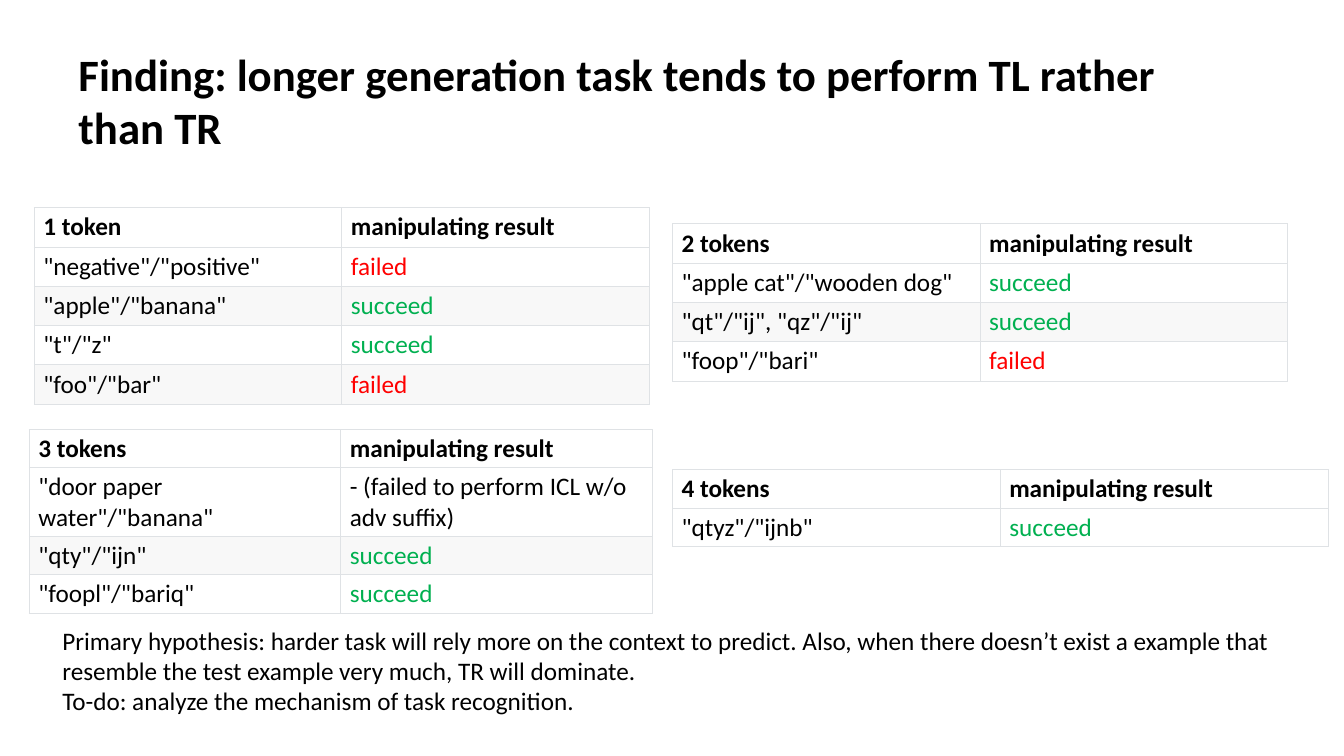
from lxml.etree import SubElement
from pptx import Presentation
from pptx.dml.color import RGBColor
from pptx.enum.text import MSO_ANCHOR
from pptx.oxml.ns import qn
from pptx.util import Inches, Pt

BLACK = RGBColor(0x00, 0x00, 0x00)
RED = RGBColor(0xFF, 0x00, 0x00)
GREEN = RGBColor(0x00, 0xB0, 0x50)
WHITE = RGBColor(0xFF, 0xFF, 0xFF)
BAND = RGBColor(0xF8, 0xF8, 0xF8)
RULE = RGBColor(0xDF, 0xE2, 0xE5)

COLORS = {"failed": RED, "succeed": GREEN}
CELL = {
    "margin_left": Inches(0.09), "margin_right": Inches(0.09),
    "margin_top": Inches(0.04), "margin_bottom": Inches(0.04),
    "vertical_anchor": MSO_ANCHOR.MIDDLE,
}


def write(frame, text, size=18, bold=False, color=BLACK):
    """Fill a text frame, one paragraph per line of text."""
    frame.text = text
    frame.word_wrap = True
    look = {"name": "Calibri", "size": Pt(size), "bold": bold}
    for para in frame.paragraphs:
        font = para.runs[0].font
        for key, value in look.items():
            setattr(font, key, value)
        font.color.rgb = color


def border(cell):
    props = cell._tc.get_or_add_tcPr()
    for side in ("a:lnL", "a:lnR", "a:lnT", "a:lnB"):
        line = SubElement(props, qn(side), w=str(Pt(0.5)))
        fill = SubElement(line, qn("a:solidFill"))
        SubElement(fill, qn("a:srgbClr"), val=str(RULE))


prs = Presentation()
prs.slide_width = Inches(13.33)
prs.slide_height = Inches(7.5)
slide = prs.slides.add_slide(prs.slide_layouts[6])

# Title and closing remarks
texts = [
    ((0.68, 0.41, 10.98, 1.18), 32, True,
     "Finding: longer generation task tends to perform TL rather than TR"),
    ((0.52, 6.15, 12.3, 1.01), 18, False,
     "Primary hypothesis: harder task will rely more on the context to predict. "
     "Also, when there doesn’t exist a example that resemble the test example "
     "very much, TR will dominate.\n"
     "To-do: analyze the mechanism of task recognition."),
]
for place, size, bold, text in texts:
    box = slide.shapes.add_textbox(*map(Inches, place))
    write(box.text_frame, text, size, bold)

# Results by token count: left, top, column width, row height, head, rows
tables = [
    (0.34, 2.06, 3.05, 0.39, "1 token", [
        ('"negative"/"positive"', "failed"),
        ('"apple"/"banana"', "succeed"),
        ('"t"/"z"', "succeed"),
        ('"foo"/"bar"', "failed")]),
    (6.67, 2.22, 3.05, 0.39, "2 tokens", [
        ('"apple cat"/"wooden dog"', "succeed"),
        ('"qt"/"ij", "qz"/"ij"', "succeed"),
        ('"foop"/"bari"', "failed")]),
    (0.29, 4.26, 3.09, 0.38, "3 tokens", [
        ('"door paper water"/"banana"',
         "- (failed to perform ICL w/o adv suffix)"),
        ('"qty"/"ijn"', "succeed"),
        ('"foopl"/"bariq"', "succeed")]),
    (6.67, 4.66, 3.25, 0.38, "4 tokens", [
        ('"qtyz"/"ijnb"', "succeed")]),
]
for left, top, width, height, head, body in tables:
    rows = [(head, "manipulating result")] + body
    frame = slide.shapes.add_table(
        len(rows), 2, Inches(left), Inches(top),
        Inches(2 * width), Inches(height * len(rows)))
    table = frame.table
    table.first_row = table.horz_banding = False
    for r, row in enumerate(rows):
        for c, text in enumerate(row):
            cell = table.cell(r, c)
            write(cell.text_frame, text, bold=r == 0,
                  color=COLORS.get(text, BLACK))
            for key, value in CELL.items():
                setattr(cell, key, value)
            border(cell)
            cell.fill.solid()
            cell.fill.fore_color.rgb = BAND if r and r % 2 == 0 else WHITE

prs.save("out.pptx")
